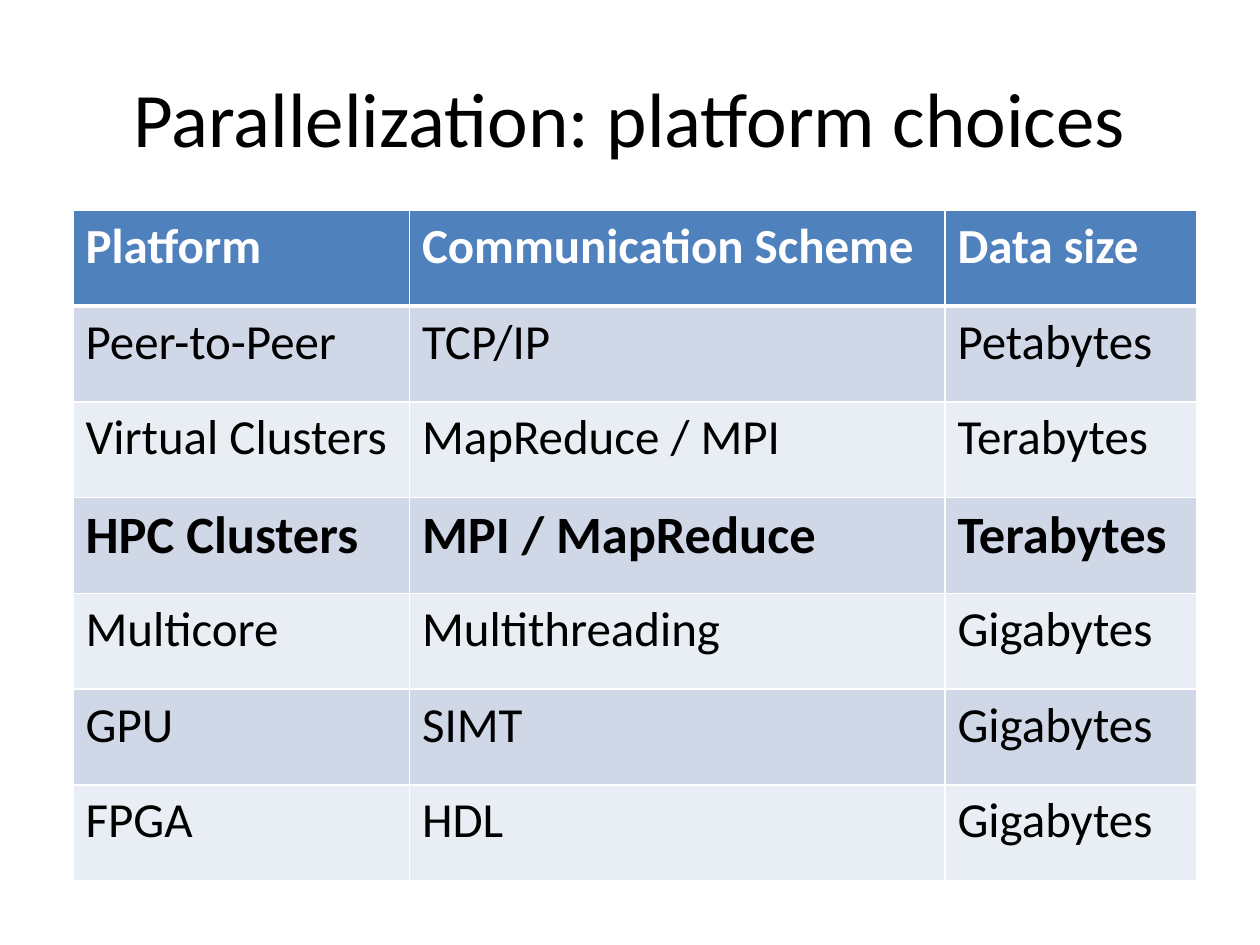
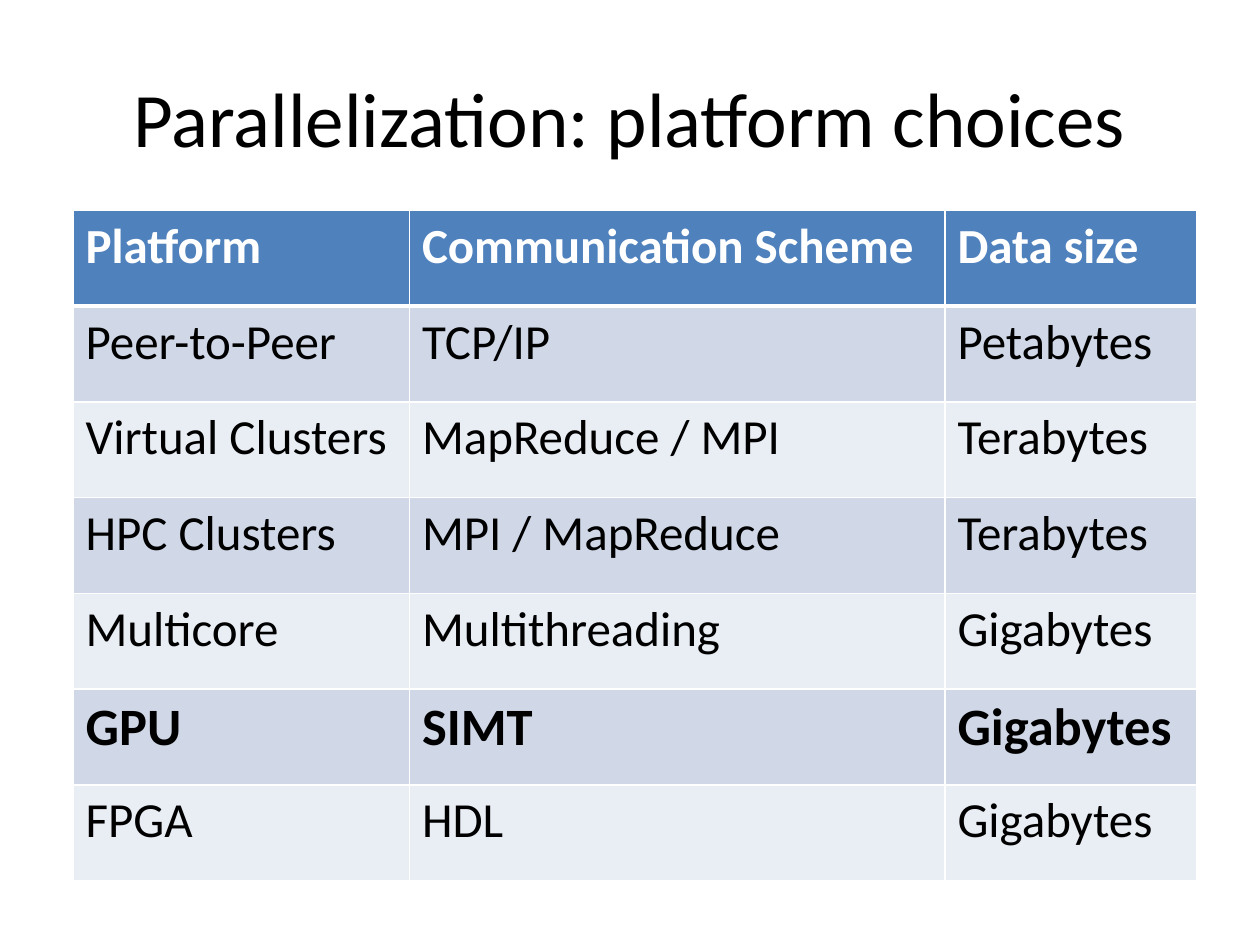
from lxml import etree
from pptx import Presentation
from pptx import util as u
from pptx.dml.color import RGBColor
from pptx.enum import text
from pptx.oxml import ns

COLORS = {
    "title": "000000",
    "header_text": "FFFFFF",
    "body_text": "000000",
    "header_fill": "4F81BD",
    "odd_row": "D0D8E8",
    "even_row": "E9EDF4",
    "border": "FFFFFF",
}
FONT = "Calibri"
TITLE = "Parallelization: platform choices"
COLUMN_WIDTHS = (2.67, 4.25, 2)
ROW_HEIGHT = 0.76
PLATFORMS = (
    ("Platform", "Communication Scheme", "Data size"),
    ("Peer-to-Peer", "TCP/IP", "Petabytes"),
    ("Virtual Clusters", "MapReduce / MPI", "Terabytes"),
    ("HPC Clusters", "MPI / MapReduce", "Terabytes"),
    ("Multicore", "Multithreading", "Gigabytes"),
    ("GPU", "SIMT", "Gigabytes"),
    ("FPGA", "HDL", "Gigabytes"),
)
HIGHLIGHTS = ("HPC Clusters", "GPU")


def add_run(paragraph, words, size, color, bold=False):
    run = paragraph.add_run()
    run.text = words
    run.font.name = FONT
    run.font.size = u.Pt(size)
    run.font.bold = bold
    run.font.color.rgb = RGBColor.from_string(COLORS[color])


def add_title(slide):
    box = slide.shapes.add_textbox(u.Inches(0.5), u.Inches(0.3), u.Inches(9), u.Inches(1.25))
    frame = box.text_frame
    frame.word_wrap = True
    frame.vertical_anchor = text.MSO_ANCHOR.MIDDLE
    paragraph = frame.paragraphs[0]
    paragraph.alignment = text.PP_ALIGN.CENTER
    add_run(paragraph, TITLE, 44, "title")


def add_borders(cell, top, bottom):
    """Draw all four cell borders; top and bottom widths are in points."""
    properties = cell._tc.get_or_add_tcPr()
    for side, width in (("L", 1), ("R", 1), ("T", top), ("B", bottom)):
        line = etree.SubElement(properties, ns.qn(f"a:ln{side}"), w=str(u.Pt(width)))
        fill = etree.SubElement(line, ns.qn("a:solidFill"))
        etree.SubElement(fill, ns.qn("a:srgbClr"), val=COLORS["border"])


def fill_cell(cell, words, row, highlighted):
    header = row == 0
    add_borders(cell, top=3 if row == 1 else 1, bottom=3 if header else 1)
    fill_name = "header_fill" if header else "odd_row" if row % 2 else "even_row"
    cell.fill.solid()
    cell.fill.fore_color.rgb = RGBColor.from_string(COLORS[fill_name])
    add_run(
        cell.text_frame.paragraphs[0],
        words,
        30 if highlighted else 28,
        "header_text" if header else "body_text",
        bold=header or highlighted,
    )


def add_platform_table(slide, highlight):
    """Add the platform table with the row of one platform emphasised."""
    table = slide.shapes.add_table(
        len(PLATFORMS), len(COLUMN_WIDTHS), u.Inches(0.58), u.Inches(1.67),
        u.Inches(sum(COLUMN_WIDTHS)), u.Inches(ROW_HEIGHT * len(PLATFORMS)),
    ).table
    for column, width in zip(table.columns, COLUMN_WIDTHS):
        column.width = u.Inches(width)
    for row, entries in enumerate(PLATFORMS):
        table.rows[row].height = u.Inches(ROW_HEIGHT)
        for column, words in enumerate(entries):
            fill_cell(table.cell(row, column), words, row, entries[0] == highlight)


def main():
    presentation = Presentation()
    presentation.slide_width = u.Inches(10)
    presentation.slide_height = u.Inches(7.5)
    for highlight in HIGHLIGHTS:
        slide = presentation.slides.add_slide(presentation.slide_layouts[6])
        add_title(slide)
        add_platform_table(slide, highlight)
    presentation.save("out.pptx")


if __name__ == "__main__":
    main()
